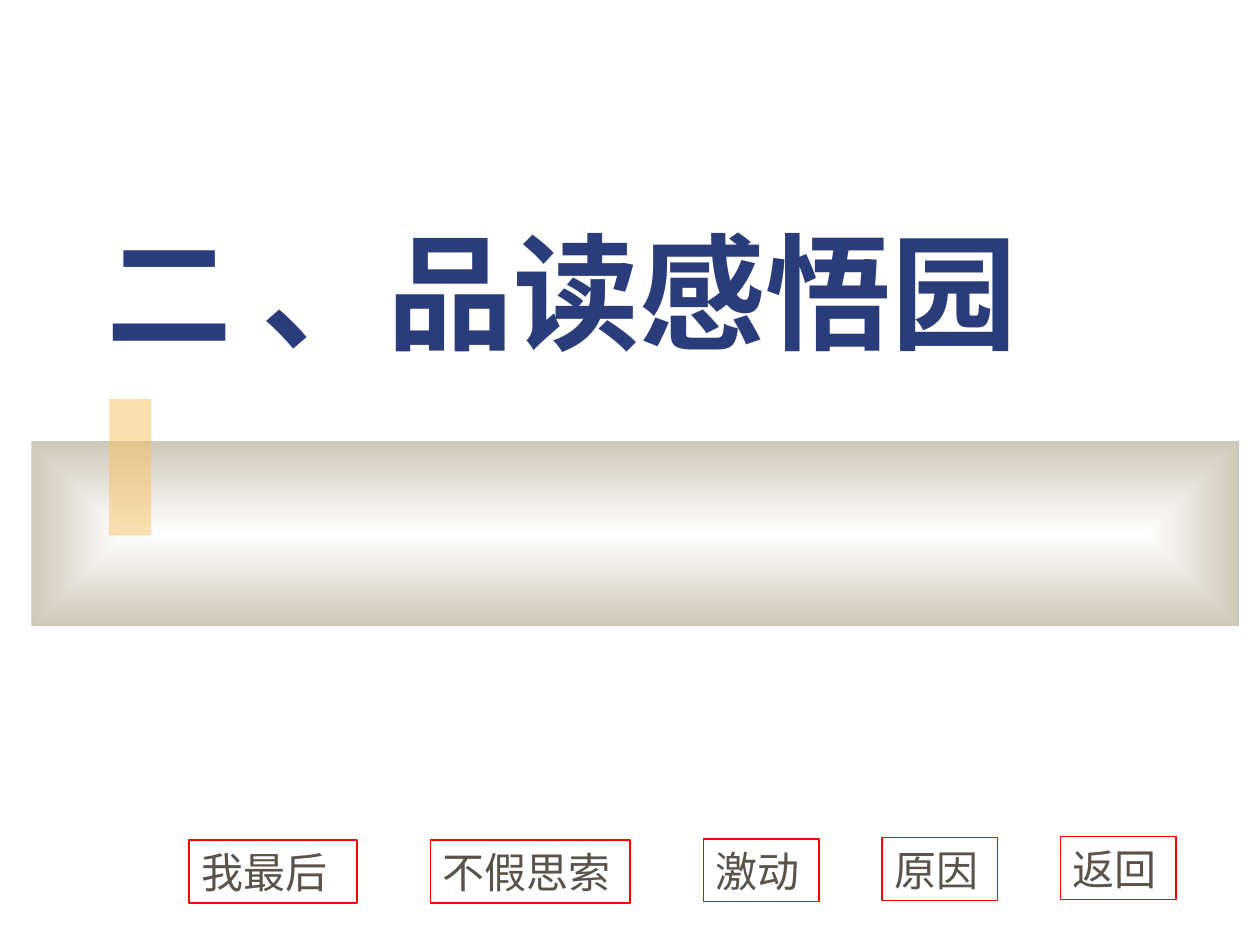
from collections import namedtuple
from dataclasses import dataclass

from lxml.etree import SubElement
from pptx import Presentation
from pptx.dml.color import RGBColor
from pptx.enum.shapes import MSO_SHAPE
from pptx.enum.text import MSO_ANCHOR, PP_ALIGN
from pptx.oxml.ns import qn
from pptx.util import Inches, Pt

UNIT = Inches(1) / 12  # the grid has 120 columns and 90 rows
Box = namedtuple("Box", "x y w h")


@dataclass(frozen=True)
class Theme:
    title: str = "2A3D7A"
    label: str = "5B5249"
    frame: str = "FF0000"
    band: str = "CEC8BA"
    glow: str = "FFFFFF"
    accent: str = "FAC164"
    latin: str = "Times New Roman"
    asian: str = "Noto Sans CJK SC"
    big: int = 72
    small: int = 24


THEME = Theme()


def emu(box):
    return [round(side * UNIT) for side in box]


def rgb(code):
    return RGBColor.from_string(code)


def add_rect(slide, box):
    shape = slide.shapes.add_shape(MSO_SHAPE.RECTANGLE, *emu(box))
    shape.shadow.inherit = False
    shape.fill.background()
    shape.line.fill.background()
    return shape


def write(shape, text, *, size, color, font, bold=False,
          anchor=MSO_ANCHOR.MIDDLE):
    frame = shape.text_frame
    frame.word_wrap = True
    frame.vertical_anchor = anchor
    para = frame.paragraphs[0]
    para.alignment = PP_ALIGN.LEFT
    run = para.add_run()
    run.text = text
    run.font.size = Pt(size)
    run.font.bold = bold
    run.font.name = font
    run.font.color.rgb = rgb(color)
    SubElement(run.font._element, qn("a:ea"), typeface=THEME.asian)


def add_title(slide, box, text):
    shape = slide.shapes.add_textbox(*emu(box))
    write(shape, text, size=THEME.big, color=THEME.title, font=THEME.asian,
          bold=True, anchor=MSO_ANCHOR.BOTTOM)


def add_band(slide, box):
    """Draw the band that glows from its centre, and the tab across its top."""
    band = add_rect(slide, box)
    band.fill.gradient()
    for stop, color in zip(band.fill.gradient_stops, (THEME.glow, THEME.band)):
        stop.color.rgb = rgb(color)
    grad = band._element.spPr.find(qn("a:gradFill"))
    grad.remove(grad.find(qn("a:lin")))
    path = SubElement(grad, qn("a:path"), path="rect")
    SubElement(path, qn("a:fillToRect"), l="50000", t="50000",
               r="50000", b="50000")

    tab = add_rect(slide, Box(box.x + 7.4, box.y - 4, 4, 13))
    tab.fill.solid()
    tab.fill.fore_color.rgb = rgb(THEME.accent)
    color = tab._element.spPr.find(qn("a:solidFill"))[0]
    SubElement(color, qn("a:alpha"), val="50000")


def add_menu(slide, box, items):
    """Place framed labels, each given as text, column, row and width."""
    for text, col, row, width in items:
        shape = add_rect(slide, Box(box.x + col, box.y + row, width, box.h))
        shape.line.color.rgb = rgb(THEME.frame)
        shape.line.width = Pt(0.75)
        write(shape, text, size=THEME.small, color=THEME.label,
              font=THEME.latin)


def main():
    deck = Presentation()
    deck.slide_width, deck.slide_height = Inches(10), Inches(7.5)
    slide = deck.slides.add_slide(deck.slide_layouts[6])
    add_band(slide, Box(3, 42, 115, 17.6))
    add_title(slide, Box(9, 20.4, 102, 15), "二 、品读感悟园")
    add_menu(slide, Box(18, 79.7, 94, 6), [
        ("我最后", 0, 0.3, 16),
        ("不假思索", 23, 0.3, 19),
        ("激动", 49, 0.2, 11),
        ("原因", 66, 0.1, 11),
        ("返回", 83, 0, 11),
    ])
    deck.save("out.pptx")


if __name__ == "__main__":
    main()
